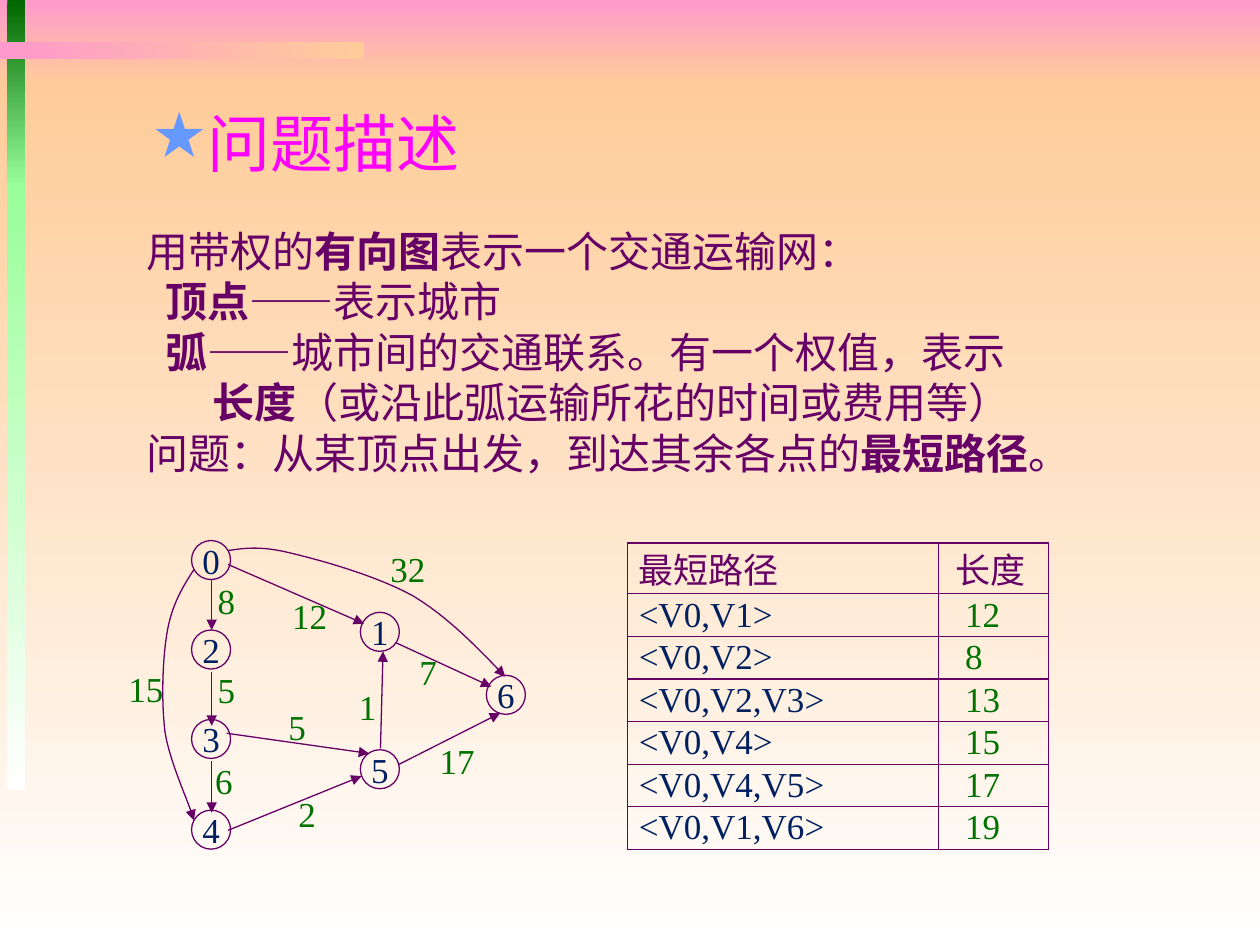
import pptx
import pptx.util
import pptx.dml.color
import pptx.enum.shapes
import pptx.enum.text
import pptx.oxml
import pptx.oxml.ns
import lxml.etree

HEADING = "问题描述"
BODY = [
    (0, 0, [("用带权的", False), ("有向图", True), ("表示一个交通运输网：", False)]),
    (1.5, 0, [("顶点", True), ("——表示城市", False)]),
    (5.3, -3.8, [("弧", True), ("——城市间的交通联系。有一个权值，表示\v", False),
                 ("长度", True), ("（或沿此弧运输所花的时间或费用等）", False)]),
    (0, 0, [("问题：从某顶点出发，到达其余各点的", False), ("最短路径", True), ("。", False)]),
]
PATHS = [
    ("最短路径", "长度"),
    ("<V0,V1>", "12"),
    ("<V0,V2>", "8"),
    ("<V0,V2,V3>", "13"),
    ("<V0,V4>", "15"),
    ("<V0,V4,V5>", "17"),
    ("<V0,V1,V6>", "19"),
]
NODES = {"0": (15.2, 42.9), "2": (15.2, 50), "3": (15.2, 57.1), "4": (15.2, 64.3),
         "1": (28.6, 48.6), "5": (28.6, 59.5), "6": (38.6, 53.6)}
EDGES = [
    ("8", (16.3, 45.5), (16.8, 46), (16.8, 50)),
    ("5", (16.3, 52.6), (16.8, 53.3), (16.8, 57.6)),
    ("6", (16.1, 59.8), (16.8, 60.4), (16.8, 64.5)),
    ("12", (22.2, 46.7), (18.1, 44.8), (28.9, 49.5)),
    ("7", (32.3, 51.1), (31.4, 51), (39, 54.5)),
    ("2", (22.7, 62.4), (18.1, 65.9), (28.7, 61.6)),
    ("17", (33.9, 58.2), (31.6, 60.7), (39.7, 56.6)),
    ("1", (27.5, 53.9), (30.2, 59.4), (30.4, 51.7)),
    ("5", (21.9, 55.5), (18, 58.2), (29.3, 59.8)),
]
CURVES = [
    ("15", (9.2, 52.5), [(15.4, 45.2), (14.5, 46.6), (13.7, 47.9), (13.3, 50),
                         (12.9, 52.2), (12.8, 55.6), (13.1, 58.1),
                         (13.5, 60.6), (15.1, 63.9), (15.4, 65.1)]),
    ("32", (30, 43), [(18.1, 43.7), (19.4, 43.5), (20.7, 43.3), (23.1, 43.9),
                      (25.6, 44.5), (29.9, 45.7), (32.8, 47.3),
                      (35.6, 49), (37.8, 51.3), (40.1, 53.7)]),
]
BANDS = [
    ((0, 0, 100, 6.7), "FF99CC", "FFCC99", 270),
    ((0, 6.7, 100, 68.3), "FFCC99", "FFFFFF", 270),
    ((0.6, 0, 1.4, 14.8), "006600", "99FF99", 270),
    ((0.6, 14.6, 1.4, 48.1), "99FF99", "FFFFFF", 270),
    ((0, 3.3, 28.9, 1.4), "FF99CC", "FFCC99", 0),
]
THEME = {
    "ink": "660066", "node": "002060", "weight": "007200", "heading": "FF00FF", "star": "6699FF",
    "serif": "Times New Roman", "sans": "Arial", "cjk": "Noto Sans CJK SC",
    "heading_size": 36, "body_size": 24, "label_size": 20, "rule": 0.75,
}
MSO = pptx.enum.shapes.MSO_SHAPE
TXT = pptx.enum.text
qn = pptx.oxml.ns.qn

prs = pptx.Presentation()
prs.slide_width, prs.slide_height = pptx.util.Inches(10), pptx.util.Inches(7.5)
UNIT = prs.slide_width / 100
s = prs.slides.add_slide(prs.slide_layouts[1])


def grid(*values):
    return [round(v * UNIT) for v in values]


def rgb(value):
    return pptx.dml.color.RGBColor.from_string(value)


def put(obj, **values):
    for name, value in values.items():
        setattr(obj, name, value)


def place(sp, box):
    put(sp, **dict(zip(("left", "top", "width", "height"), grid(*box))))


def frame(tf, margins=(0, 0, 0, 0), wrap=False, anchor=TXT.MSO_ANCHOR.TOP):
    names = ("margin_left", "margin_top", "margin_right", "margin_bottom")
    put(tf, **dict(zip(names, grid(*margins))), word_wrap=wrap,
        vertical_anchor=anchor, auto_size=TXT.MSO_AUTO_SIZE.NONE)


def add_run(p, text, color, size=THEME["label_size"], font=THEME["serif"], bold=False, east=None):
    for i, part in enumerate(text.split("\v")):
        if i:
            p.add_line_break()
        if part:
            r = p.add_run()
            r.text = part
            put(r.font, size=pptx.util.Pt(size), name=font, bold=bold)
            r.font.color.rgb = rgb(color)
            if east:
                lxml.etree.SubElement(r.font._element, qn("a:ea")).set("typeface", east)


def outline(sp, arrow=False):
    sp.line.color.rgb = rgb(THEME["ink"])
    sp.line.width = pptx.util.Pt(THEME["rule"])
    if arrow:
        ln = sp._element.spPr.find(qn("a:ln"))
        lxml.etree.SubElement(ln, qn("a:tailEnd")).set("type", "triangle")


def add_weight(text, at):
    sp = s.shapes.add_textbox(*grid(*at, 2 + 1.4 * len(text), 4.3))
    frame(sp.text_frame, (1, 0.5, 1, 0.5))
    add_run(sp.text_frame.paragraphs[0], text, THEME["weight"])


def bezier(points, steps=12):
    for k in range(0, len(points) - 1, 3):
        for i in range(1, steps + 1):
            t = i / steps
            w = ((1 - t) ** 3, 3 * t * (1 - t) ** 2, 3 * t * t * (1 - t), t ** 3)
            yield grid(*(sum(a * q[d] for a, q in zip(w, points[k:k + 4])) for d in (0, 1)))


def border(cell):
    tcPr = cell._tc.get_or_add_tcPr()
    for i, side in enumerate(("lnL", "lnR", "lnT", "lnB")):
        tcPr.insert(i, pptx.oxml.parse_xml(
            f'<a:{side} {pptx.oxml.ns.nsdecls("a")} w="{pptx.util.Pt(THEME["rule"])}">'
            f'<a:solidFill><a:srgbClr val="{THEME["ink"]}"/></a:solidFill></a:{side}>'))


for i, (box, start, end, angle) in enumerate(BANDS):
    sp = s.shapes.add_shape(MSO.RECTANGLE, *grid(*box))
    sp.shadow.inherit = False
    sp.line.fill.background()
    sp.fill.gradient()
    sp.fill.gradient_angle = angle
    for stop, color in zip(sp.fill.gradient_stops, (start, end)):
        stop.color.rgb = rgb(color)
    s.shapes._spTree.insert(2 + i, sp._element)

title, body = s.placeholders
place(title, (6, 7.8, 93, 7))
frame(title.text_frame, (1, 0.5, 1, 0.5), True, TXT.MSO_ANCHOR.MIDDLE)
p = title.text_frame.paragraphs[0]
p.alignment = TXT.PP_ALIGN.LEFT
pPr = p._p.get_or_add_pPr()
put(p, space_before=pptx.util.Pt(0))
left, hang = grid(8.1, -3.1)
pPr.set("marL", str(left))
pPr.set("indent", str(hang))
color = lxml.etree.SubElement(pPr, qn("a:buClr"))
lxml.etree.SubElement(color, qn("a:srgbClr")).set("val", THEME["star"])
lxml.etree.SubElement(pPr, qn("a:buChar")).set("char", "★")
add_run(p, HEADING, THEME["heading"], THEME["heading_size"], THEME["sans"])

place(body, (10.6, 17.3, 77.8, 21.2))
tf = body.text_frame
frame(tf, (1, 0.6, 1, 0.5), True)
for i, (left, hang, runs) in enumerate(BODY):
    p = tf.add_paragraph() if i else tf.paragraphs[0]
    put(p, space_before=pptx.util.Pt(0), line_spacing=pptx.util.Pt(1.2 * THEME["body_size"]))
    pPr = p._p.get_or_add_pPr()
    for name, value in zip(("marL", "indent"), grid(left, hang)):
        pPr.set(name, str(value))
    lxml.etree.SubElement(pPr, qn("a:buNone"))
    for text, bold in runs:
        add_run(p, text, THEME["ink"], THEME["body_size"], THEME["cjk"], bold, THEME["cjk"])

tbl = s.shapes.add_table(len(PATHS), 2, *grid(49.8, 43.1, 33.4, 24.3)).table
put(tbl, first_row=False, horz_banding=False)
for col, width in zip(tbl.columns, grid(24.7, 8.7)):
    col.width = width
for i, texts in enumerate(PATHS):
    tbl.rows[i].height = grid(3.38 if i else 4)[0]
    colors = (THEME["node"], THEME["weight"]) if i else (THEME["ink"],) * 2
    for j, text in enumerate(texts):
        cell = tbl.cell(i, j)
        left = (0.9, 2.1 if i else 1.3)[j]
        names = ("margin_left", "margin_top", "margin_right", "margin_bottom")
        put(cell, **dict(zip(names, grid(left, 0, 0, 0))), vertical_anchor=TXT.MSO_ANCHOR.MIDDLE)
        cell.fill.background()
        border(cell)
        add_run(cell.text_frame.paragraphs[0], text, colors[j])

for name, at in NODES.items():
    sp = s.shapes.add_shape(MSO.OVAL, *grid(*at, 3.1, 3.1))
    sp.shadow.inherit = False
    sp.fill.background()
    outline(sp)
    frame(sp.text_frame, anchor=TXT.MSO_ANCHOR.MIDDLE)
    p = sp.text_frame.paragraphs[0]
    p.alignment = TXT.PP_ALIGN.CENTER
    add_run(p, name, THEME["node"])

for weight, at, start, end in EDGES:
    sp = s.shapes.add_connector(pptx.enum.shapes.MSO_CONNECTOR.STRAIGHT, *grid(*start, *end))
    outline(sp, arrow=True)
    lxml.etree.SubElement(sp._element.spPr, qn("a:effectLst"))
    add_weight(weight, at)

for weight, at, points in CURVES:
    fb = s.shapes.build_freeform(*grid(*points[0]))
    fb.add_line_segments(list(bezier(points)), close=False)
    sp = fb.convert_to_shape()
    sp.shadow.inherit = False
    sp.fill.background()
    outline(sp, arrow=True)
    add_weight(weight, at)

prs.save("out.pptx")
